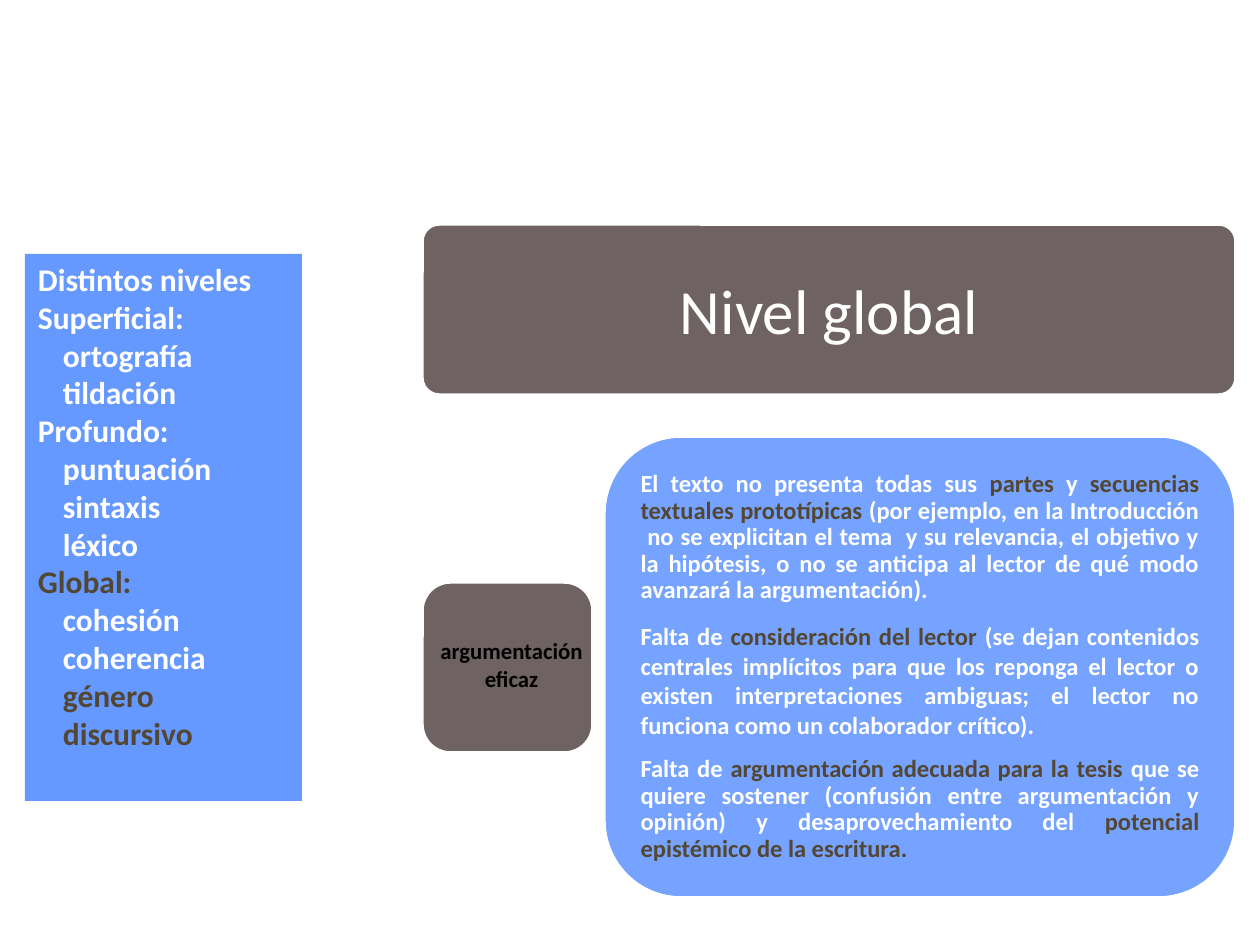
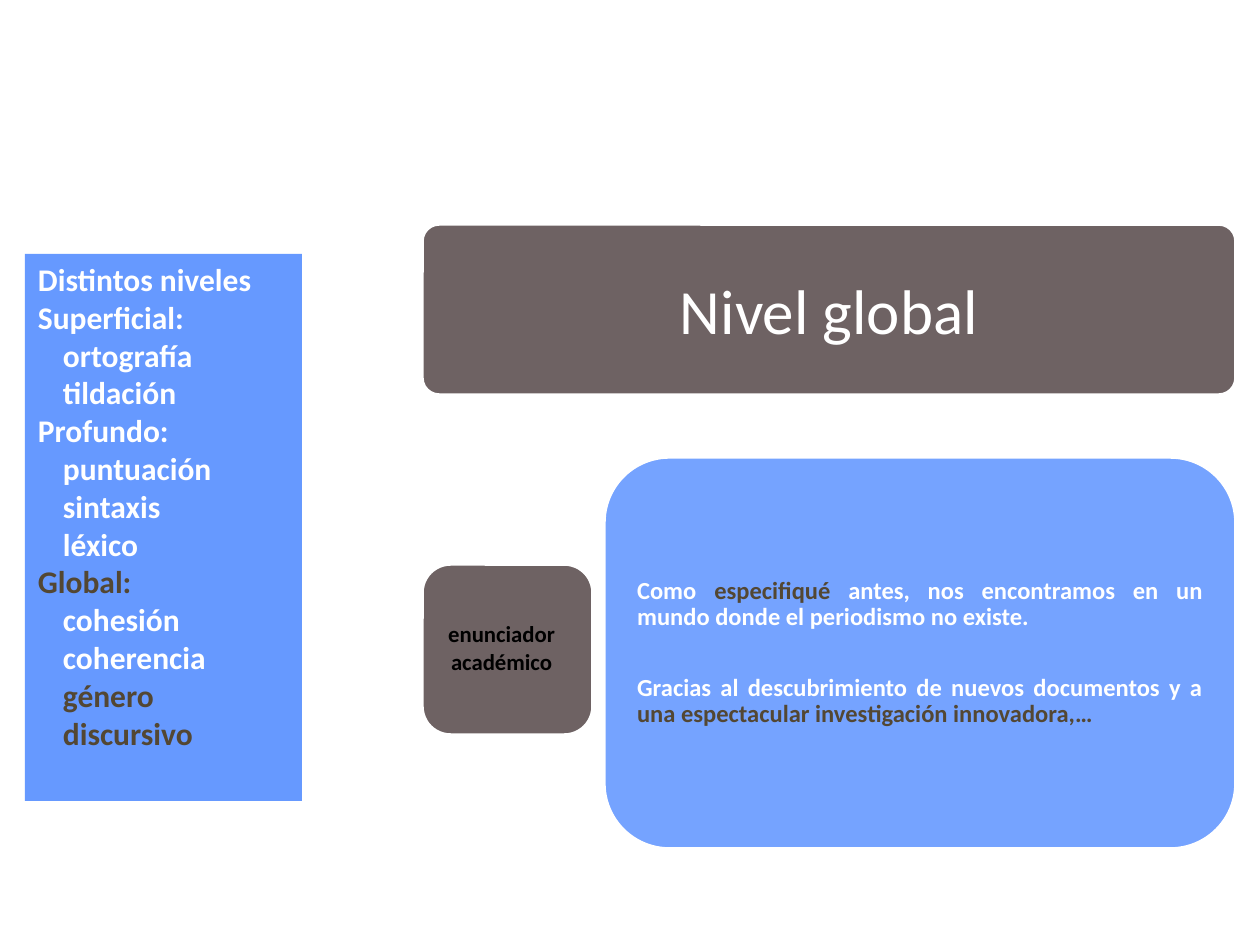
"""Build two slides on the global level of academic writing."""
from lxml import etree
from pptx import Presentation
from pptx.dml.color import RGBColor
from pptx.enum.shapes import MSO_SHAPE
from pptx.enum.text import MSO_ANCHOR, PP_ALIGN
from pptx.oxml.ns import qn
from pptx.util import Pt

RECT, ROUND = MSO_SHAPE.RECTANGLE, MSO_SHAPE.ROUNDED_RECTANGLE
TOP, MIDDLE = MSO_ANCHOR.TOP, MSO_ANCHOR.MIDDLE
LEFT, CENTER, JUSTIFY = PP_ALIGN.LEFT, PP_ALIGN.CENTER, PP_ALIGN.JUSTIFY
EMU_PER_PX = 914400 / 126
FONT = "Calibri"
COLORS = {"white": "FFFFFF", "black": "000000", "accent": "534733",
          "blue": "6699FF", "brown": "6E6263"}

TITLE = "Nivel global"
LEVELS = [
    ("Distintos niveles", 0, "white"),
    ("Superficial:", 0, "white"),
    ("ortografía", 1, "white"),
    ("tildación", 1, "white"),
    ("Profundo:", 0, "white"),
    ("puntuación", 1, "white"),
    ("sintaxis", 1, "white"),
    ("léxico", 1, "white"),
    ("Global:", 0, "accent"),
    ("cohesión", 1, "white"),
    ("coherencia", 1, "white"),
    ("género discursivo", 1, "accent"),
]
SLIDES = [
    {
        "label": ["argumentación", "eficaz"],
        "label_box": (422, 631, 179, 68),
        "tile_top": 582,
        "panel": (604, 436, 632, 462),
        "paragraphs": [
            (0.9, 10, [
                ("El texto no presenta todas sus ", "white"),
                ("partes ", "accent"),
                ("y ", "white"),
                ("secuencias textuales prototípicas ", "accent"),
                ("(por ejemplo, en la Introducción  no se explicitan el tema  y su "
                 "relevancia, el objetivo y la hipótesis, o no se anticipa al lector "
                 "de qué modo avanzará la argumentación).", "white")]),
            (1.0, 10, [
                ("Falta de ", "white"),
                ("consideración del lector ", "accent"),
                ("(se dejan contenidos centrales implícitos para que los reponga el "
                 "lector o existen interpretaciones ambiguas; el lector no funciona "
                 "como un colaborador crítico).", "white")]),
            (0.9, 8, [
                ("Falta de ", "white"),
                ("argumentación adecuada para la tesis ", "accent"),
                ("que se quiere sostener (confusión entre argumentación y opinión) y "
                 "desaprovechamiento del ", "white"),
                ("potencial epistémico de la escritura.", "accent")]),
        ],
    },
    {
        "label": ["enunciador académico"],
        "label_box": (432, 614, 139, 68),
        "tile_top": 564,
        "panel": (604, 457, 632, 392),
        "paragraphs": [
            (0.9, 25, [
                ("Como ", "white"),
                ("especifiqué ", "accent"),
                ("antes, nos encontramos en un mundo donde el periodismo no existe.",
                 "white")]),
            (0.9, 0, [
                ("Gracias al descubrimiento de nuevos documentos y a ", "white"),
                ("una espectacular investigación innovadora,…", "accent")]),
        ],
    },
]


def px(n):
    return round(n * EMU_PER_PX)


def rgb(name):
    return RGBColor.from_string(COLORS[name])


def add_box(s, kind, box, fill, radius=None, outlined=True):
    sp = s.shapes.add_shape(kind, *map(px, box))
    sp.shadow.inherit = False
    sp.fill.solid()
    sp.fill.fore_color.rgb = rgb(fill)
    if outlined:
        sp.line.color.rgb = rgb("white")
        sp.line.width = Pt(2)
    else:
        sp.line.fill.background()
    if radius:
        sp.adjustments[0] = radius
    return sp


def set_frame(sp, anchor, inset_x=13, inset_y=6):
    tf = sp.text_frame
    tf.word_wrap = True
    tf.vertical_anchor = anchor
    tf.margin_left = tf.margin_right = px(inset_x)
    tf.margin_top = tf.margin_bottom = px(inset_y)
    return tf


def write(tf, paragraphs, size, align, bold=True):
    """Fill a frame from (line spacing, points after, indent level, runs)."""
    for i, (spacing, after, level, runs) in enumerate(paragraphs):
        p = tf.paragraphs[0] if i == 0 else tf.add_paragraph()
        p.alignment = align
        p.line_spacing = spacing
        p.space_after = Pt(after)
        p.font.name, p.font.size, p.font.bold = FONT, Pt(size), bold
        if level:
            p._p.get_or_add_pPr().set("marL", str(px(25 * level)))
        for text, color in runs:
            r = p.add_run()
            r.text = text
            r.font.color.rgb = rgb(color)


def add_sidebar(s):
    sp = add_box(s, RECT, (25, 254, 277, 547), "blue", outlined=False)
    write(set_frame(sp, TOP), [(1.0, 0, level, [(text, color)])
                               for text, level, color in LEVELS], 18, LEFT)


def add_title(s):
    sp = add_box(s, ROUND, (422, 224, 814, 171), "brown", 0.1)
    write(set_frame(sp, MIDDLE), [(1.0, 0, 0, [(TITLE, "white")])], 36, CENTER, False)


def add_topic(s, topic):
    add_box(s, ROUND, (422, topic["tile_top"], 171, 171), "brown", 0.167)
    panel = add_box(s, ROUND, topic["panel"], "blue", 0.167)
    color = panel._element.spPr.find(qn("a:solidFill"))[0]
    etree.SubElement(color, qn("a:alpha")).set("val", "90000")
    write(set_frame(panel, MIDDLE, 14, 14),
          [(spacing, after, 0, runs) for spacing, after, runs in topic["paragraphs"]],
          14, JUSTIFY)
    label = s.shapes.add_textbox(*map(px, topic["label_box"]))
    write(set_frame(label, TOP),
          [(1.0, 0, 0, [(text, "black")]) for text in topic["label"]], 13, CENTER)


def main():
    prs = Presentation()
    prs.slide_width, prs.slide_height = px(1260), px(945)
    for topic in SLIDES:
        s = prs.slides.add_slide(prs.slide_layouts[6])
        add_sidebar(s)
        add_title(s)
        add_topic(s, topic)
    prs.save("out.pptx")


if __name__ == "__main__":
    main()
